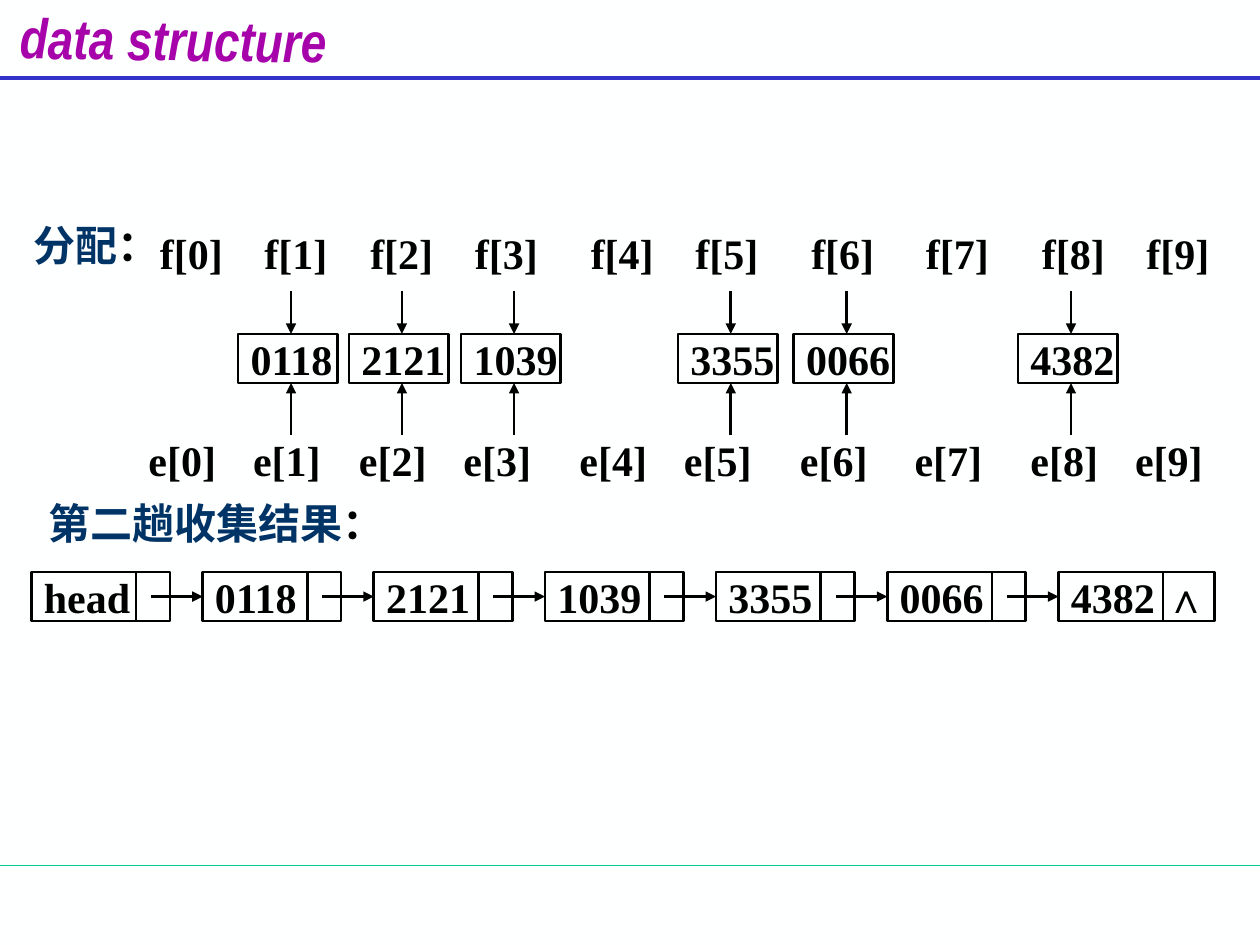
import lxml.etree
import pptx
import pptx.dml.color
import pptx.enum.lang
import pptx.enum.shapes
import pptx.enum.text
import pptx.oxml.ns
import pptx.util

Inches = pptx.util.Inches
ANCHOR = pptx.enum.text.MSO_ANCHOR
ALIGN = pptx.enum.text.PP_ALIGN
CHINESE = pptx.enum.lang.MSO_LANGUAGE_ID.SIMPLIFIED_CHINESE

BLACK, NAVY, PURPLE = "000000", "003366", "A603AB"
BODY = {"name": "Times New Roman", "size": pptx.util.Pt(24), "bold": True}
TITLE = {"name": "Arial Narrow", "size": pptx.util.Pt(32), "bold": True, "italic": True}

ROW_H = 0.39
LABEL_X = [0, 0.83, 1.67, 2.5, 3.42, 4.25, 5.17, 6.08, 7, 7.83]
BUCKETS = [(1.89, "0118"), (2.77, "2121"), (3.66, "1039"),
           (5.38, "3355"), (6.3, "0066"), (8.08, "4382")]
CHAIN = ["head", "0118", "2121", "1039", "3355", "0066", "4382 ∧"]


def rgb(value):
    return pptx.dml.color.RGBColor.from_string(value)


def write(sp, runs, fmt=BODY, anchor=ANCHOR.MIDDLE, align=ALIGN.LEFT):
    """Fill a shape with one unwrapped line of (text, colour) runs."""
    tf = sp.text_frame
    tf.word_wrap = False
    tf.vertical_anchor = anchor
    p = tf.paragraphs[0]
    p.alignment = align
    for text, color in runs:
        r = p.add_run()
        r.text = text
        for name, value in fmt.items():
            setattr(r.font, name, value)
        r.font.color.rgb = rgb(color)
        if not text.isascii():
            r.font.language_id = CHINESE


def add_text(s, x, y, w, h, runs, **options):
    sp = s.shapes.add_textbox(Inches(x), Inches(y), Inches(w), Inches(h))
    write(sp, runs, **options)
    return sp


def add_box(s, x, y, w, text):
    sp = s.shapes.add_shape(pptx.enum.shapes.MSO_SHAPE.RECTANGLE,
                            Inches(x), Inches(y), Inches(w), Inches(ROW_H))
    sp.shadow.inherit = False
    sp.fill.background()
    sp.line.color.rgb = rgb(BLACK)
    sp.line.width = pptx.util.Pt(1.5)
    write(sp, [(text, BLACK)])
    return sp


def add_line(s, x1, y1, x2, y2, color=BLACK, width=1.5, arrow=False):
    cx = s.shapes.add_connector(pptx.enum.shapes.MSO_CONNECTOR.STRAIGHT,
                                Inches(x1), Inches(y1), Inches(x2), Inches(y2))
    cx.line.color.rgb = rgb(color)
    cx.line.width = pptx.util.Pt(width)
    qn = pptx.oxml.ns.qn
    if arrow:
        lxml.etree.SubElement(cx.line._get_or_add_ln(), qn("a:tailEnd"), type="triangle")
    lxml.etree.SubElement(cx._element.spPr, qn("a:effectLst"))
    return cx


def frame(s):
    """Title, header rule and footer rule."""
    add_line(s, 0, 6.87, 10, 6.87, "00CC99", 0.75)
    add_line(s, 0, 0.62, 10, 0.62, "3333CC", 2.25)
    title = add_text(s, 0, -0.01, 2.75, 0.54, [("data structure", PURPLE)],
                     fmt=TITLE, anchor=ANCHOR.TOP, align=ALIGN.CENTER)
    title.rotation = 0.8


def label_row(s, x, y, letter):
    for i, dx in enumerate(LABEL_X):
        add_text(s, x + dx, y, 0.75, ROW_H, [(f"{letter}[{i}]", BLACK)])


def bucket(s, x, y, text):
    """A key with the front pointer above it and the end pointer below."""
    add_box(s, x, y, 0.79, text)
    mid = x + 0.42
    add_line(s, mid, y - 0.34, mid, y, arrow=True)
    add_line(s, mid, y + 0.8, mid, y + ROW_H, arrow=True)


def distribution(s, x, y):
    add_text(s, x, y, 0.94, ROW_H, [("分配", NAVY), ("：", BLACK)])
    label_row(s, x + 1, y + 0.06, "f")
    for left, text in BUCKETS:
        bucket(s, x + left - 0.17, y + 0.9, text)
    label_row(s, x + 0.91, y + 1.7, "e")


def linked_list(s, x, y, width):
    last_w = 1.24
    step = (width - last_w) / (len(CHAIN) - 1)
    mid = y + ROW_H / 2
    for i, text in enumerate(CHAIN):
        left = x + i * step
        sp = add_box(s, left, y, last_w if i == len(CHAIN) - 1 else 1.1, text)
        add_line(s, left + 0.83, y, left + 0.83, y + ROW_H)
        if i:
            cx = add_line(s, left - 0.41, mid, left, mid, arrow=True)
            cx.end_connect(sp, 1)


def main():
    prs = pptx.Presentation()
    prs.slide_width, prs.slide_height = Inches(10), Inches(7.5)
    s = prs.slides.add_slide(prs.slide_layouts[6])
    s.background.fill.solid()
    s.background.fill.fore_color.rgb = rgb("FEFFFF")
    frame(s)
    distribution(s, 0.17, 1.75)
    add_text(s, 0.29, 3.95, 2.68, ROW_H, [("第二趟收集结果", NAVY), ("：", BLACK)])
    linked_list(s, 0.25, 4.54, 9.39)
    prs.save("out.pptx")


if __name__ == "__main__":
    main()
